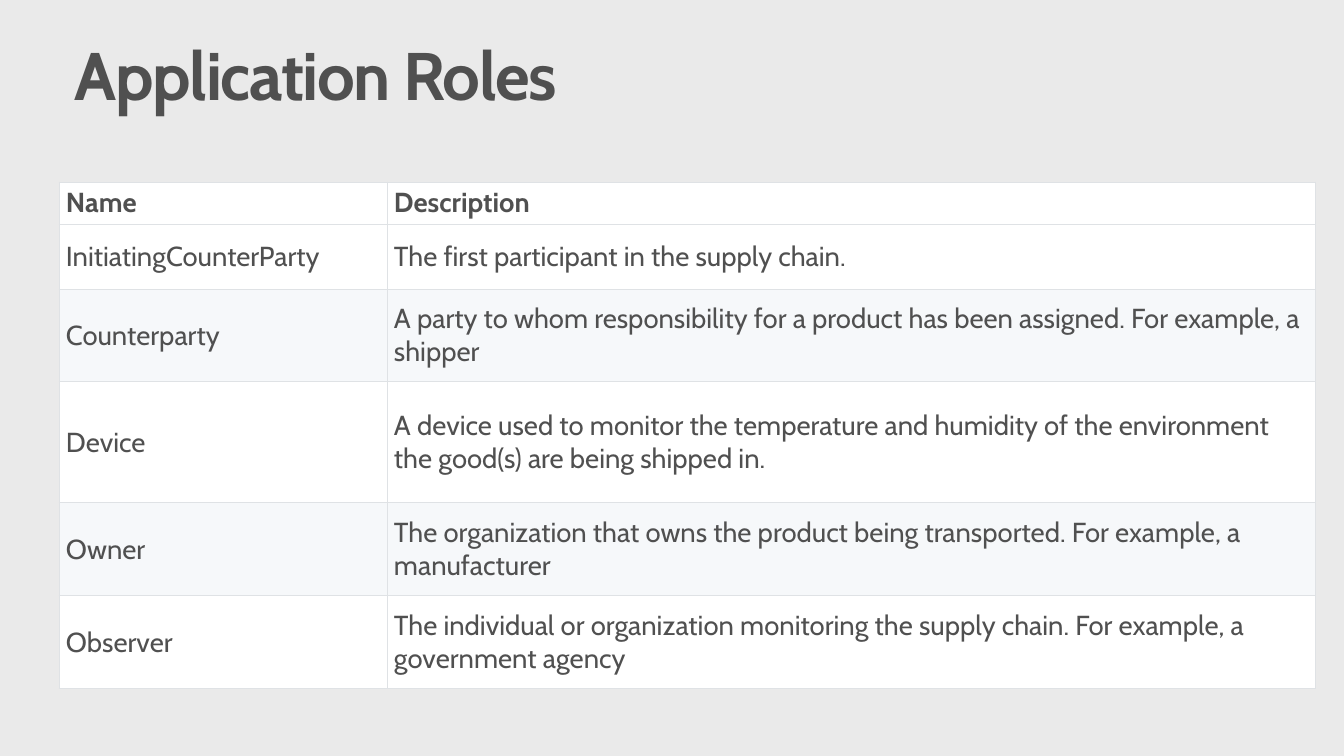
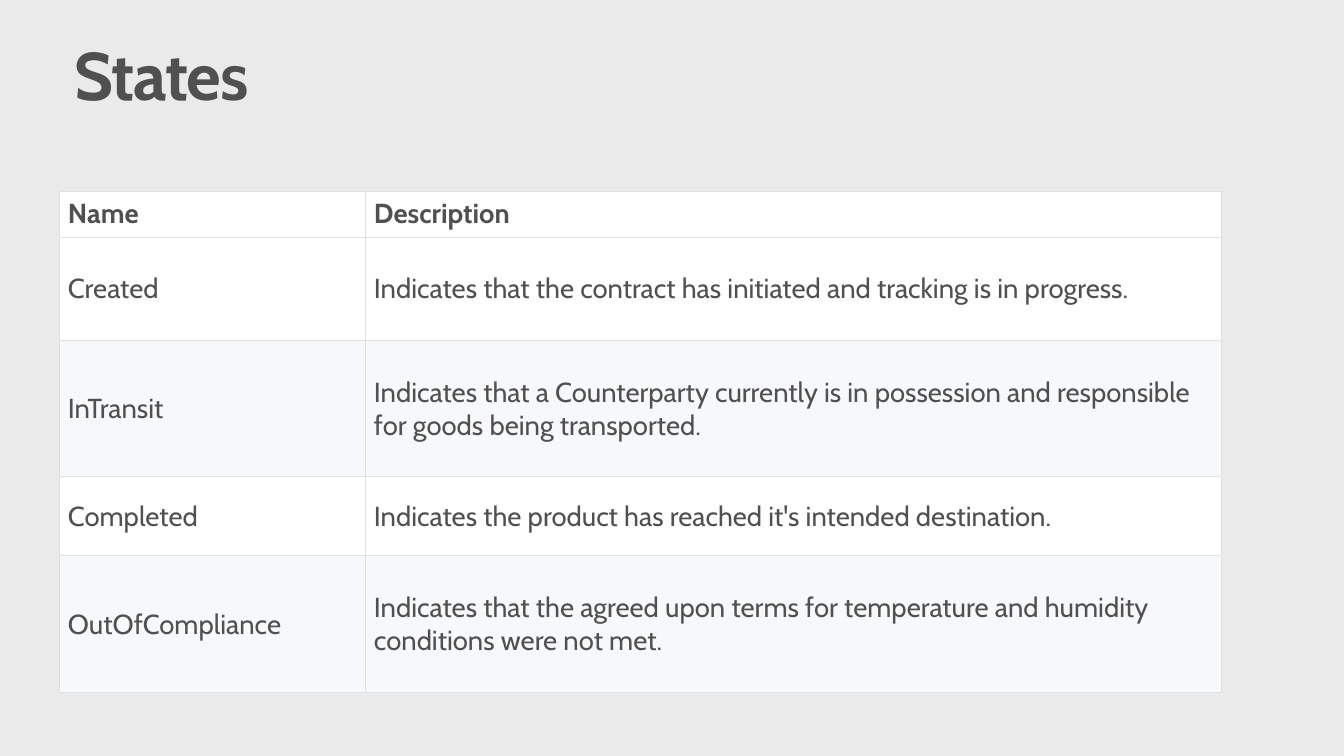
import pptx
import pptx.util
import pptx.dml.color
import pptx.enum.text
import pptx.oxml
import pptx.oxml.ns

RGB = pptx.dml.color.RGBColor
BACK = RGB(0xEA, 0xEA, 0xEA)
TEXT = RGB(0x50, 0x50, 0x50)
WHITE = RGB(0xFF, 0xFF, 0xFF)
BAND = RGB(0xF6, 0xF8, 0xFA)
RULE = RGB(0xDF, 0xE2, 0xE5)
FONT = "Cabin"
SCALE = 914400 / 98.8
WIDTH, HEIGHT = 1344, 756
LEFT = 59
TITLE = (LEFT, 32, 1284, 103)
HEAD = ("Name", "Description")

ROLES = [
    HEAD,
    ("InitiatingCounterParty", "The first participant in the supply chain."),
    ("Counterparty", "A party to whom responsibility for a product has been assigned. "
                     "For example, a shipper"),
    ("Device", "A device used to monitor the temperature and humidity of the environment "
               "the good(s) are being shipped in."),
    ("Owner", "The organization that owns the product being transported. "
              "For example, a manufacturer"),
    ("Observer", "The individual or organization monitoring the supply chain. "
                 "For example, a government agency"),
]
STATES = [
    HEAD,
    ("Created", "Indicates that the contract has initiated and tracking is in progress."),
    ("InTransit", "Indicates that a Counterparty currently is in possession and responsible "
                  "for goods being transported."),
    ("Completed", "Indicates the product has reached it's intended destination."),
    ("OutOfCompliance", "Indicates that the agreed upon terms for temperature and humidity "
                        "conditions were not met."),
]


def px(count):
    return pptx.util.Emu(round(count * SCALE))


def inset(area, side, end):
    area.margin_left = area.margin_right = px(side)
    area.margin_top = area.margin_bottom = px(end)


def style(para, size, bold):
    font = para.font
    font.name = FONT
    font.size = pptx.util.Pt(size)
    font.bold = bold
    font.color.rgb = TEXT


def border(cell):
    props = cell._tc.get_or_add_tcPr()
    for spot, side in enumerate("LRTB"):
        line = pptx.oxml.parse_xml(
            f'<a:ln{side} {pptx.oxml.ns.nsdecls("a")} w="9525"><a:solidFill>'
            f'<a:srgbClr val="{RULE}"/></a:solidFill></a:ln{side}>')
        props.insert(spot, line)


def add_title(slide, text, box):
    title = slide.shapes.title
    title.left, title.top, title.width, title.height = map(px, box)
    frame = title.text_frame
    frame.text = text
    frame.word_wrap = True
    frame.auto_size = pptx.enum.text.MSO_AUTO_SIZE.NONE
    frame.vertical_anchor = pptx.enum.text.MSO_ANCHOR.TOP
    inset(frame, 16, 10)
    para = frame.paragraphs[0]
    para.alignment = pptx.enum.text.PP_ALIGN.LEFT
    para.line_spacing = 0.9
    style(para, 49, True)
    para.runs[0]._r.get_or_add_rPr().set("spc", "-100")


def add_grid(slide, data, left, top, cols, rows, pad):
    box = (left, top, sum(cols), sum(rows))
    grid = slide.shapes.add_table(len(rows), len(cols), *map(px, box)).table
    grid.horz_banding = False
    for col, width in zip(grid.columns, cols):
        col.width = px(width)
    for index, (row, height, texts) in enumerate(zip(grid.rows, rows, data)):
        row.height = px(height)
        for cell, text in zip(row.cells, texts):
            cell.text = text
            cell.vertical_anchor = pptx.enum.text.MSO_ANCHOR.MIDDLE
            inset(cell, *pad)
            cell.fill.solid()
            cell.fill.fore_color.rgb = BAND if index and index % 2 == 0 else WHITE
            border(cell)
            style(cell.text_frame.paragraphs[0], 20, index == 0)


def add_page(deck, title, data, top, cols, rows, pad):
    slide = deck.slides.add_slide(deck.slide_layouts.get_by_name("Title Only"))
    add_title(slide, title, TITLE)
    add_grid(slide, data, LEFT, top, cols, rows, pad)


def main():
    deck = pptx.Presentation()
    deck.slide_width, deck.slide_height = px(WIDTH), px(HEIGHT)
    fill = deck.slide_master.background.fill
    fill.solid()
    fill.fore_color.rgb = BACK
    add_page(deck, "Application Roles", ROLES, 182,
             (328, 928), (42, 65, 93, 121, 93, 93), (7, 3))
    add_page(deck, "States", STATES, 191,
             (306, 856), (46, 104, 136, 79, 137), (9, 4))
    deck.save("out.pptx")


if __name__ == "__main__":
    main()
